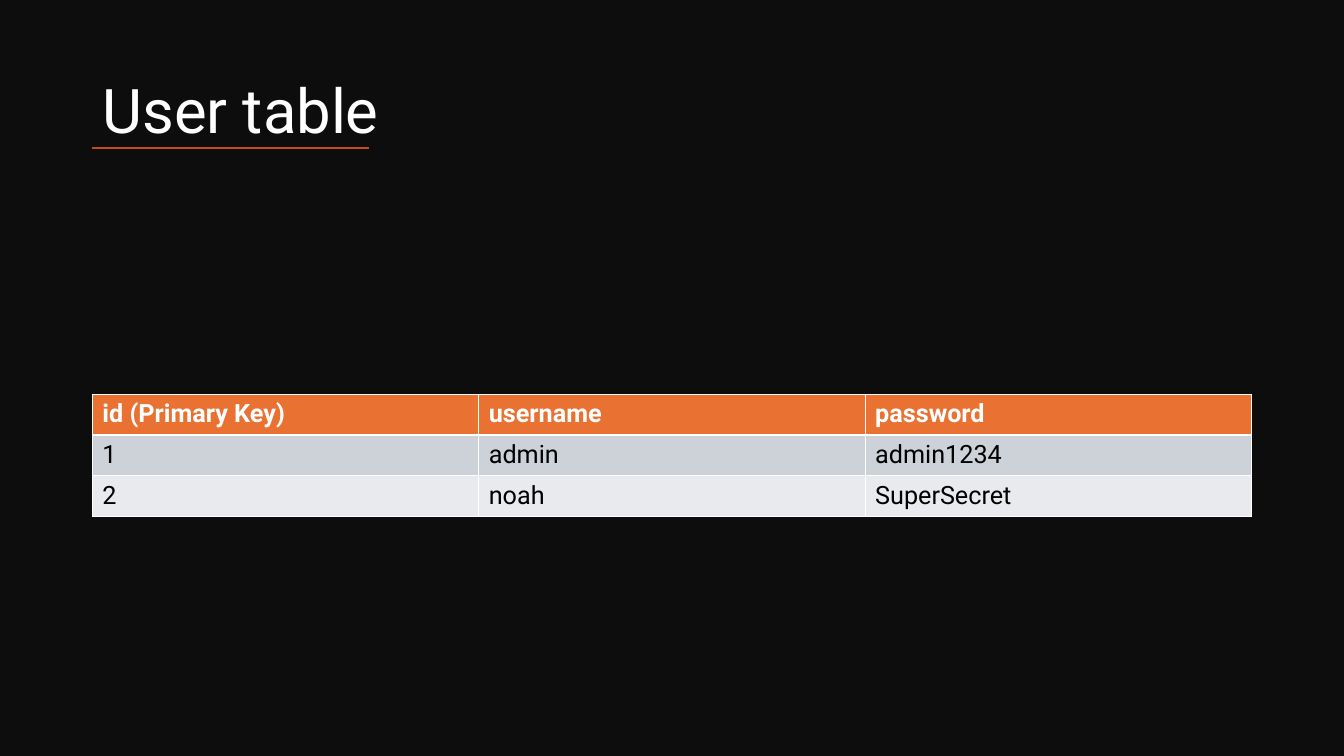
from pptx import Presentation
from pptx.dml.color import RGBColor
from pptx.enum.shapes import MSO_CONNECTOR
from pptx.enum.text import MSO_ANCHOR, PP_ALIGN
from pptx.oxml.ns import qn
from pptx.util import Pt
from lxml.etree import SubElement

# Content
TITLE = "User table"
ROWS = [
    ("id (Primary Key)", "username", "password"),
    ("1", "admin", "admin1234"),
    ("2", "noah", "SuperSecret"),
]

# Look
FONT = "Roboto"
BACKGROUND = RGBColor(0x0D, 0x0D, 0x0D)
WHITE = RGBColor(0xFF, 0xFF, 0xFF)
BLACK = RGBColor(0, 0, 0)
HEADER = RGBColor(0xE9, 0x71, 0x32)
BANDS = [RGBColor(0xCC, 0xD2, 0xD8), RGBColor(0xE8, 0xEA, 0xED)]
RULE = RGBColor(0xC0, 0x4F, 0x15)

# Layout, in points
LEFT, WIDTH = 66, 828
TITLE_TOP, TITLE_HEIGHT = 28.75, 104.4
RULE_Y, RULE_WIDTH = 105.7, 197.5
TABLE_TOP, ROW_HEIGHT = 281.5, 29.2


def add_run(p, text, size, color, bold=False):
    r = p.add_run()
    r.text = text
    r.font.name = FONT
    r.font.size = Pt(size)
    r.font.bold = bold
    r.font.color.rgb = color


prs = Presentation()
prs.slide_width, prs.slide_height = Pt(960), Pt(540)
s = prs.slides.add_slide(prs.slide_layouts[5])
s.background.fill.solid()
s.background.fill.fore_color.rgb = BACKGROUND

# Title
title = s.shapes.title
title.left, title.top = Pt(LEFT), Pt(TITLE_TOP)
title.width, title.height = Pt(WIDTH), Pt(TITLE_HEIGHT)
tf = title.text_frame
tf.vertical_anchor = MSO_ANCHOR.MIDDLE
p = tf.paragraphs[0]
p.alignment = PP_ALIGN.LEFT
p.line_spacing = 0.9
add_run(p, TITLE, 44, WHITE)

# Table: the default style supplies the white cell borders
table = s.shapes.add_table(len(ROWS), len(ROWS[0]), Pt(LEFT), Pt(TABLE_TOP),
                           Pt(WIDTH), Pt(ROW_HEIGHT * len(ROWS))).table
for i, row in enumerate(ROWS):
    is_header = i == 0
    for j, text in enumerate(row):
        cell = table.cell(i, j)
        cell.fill.solid()
        cell.fill.fore_color.rgb = HEADER if is_header else BANDS[(i - 1) % 2]
        add_run(cell.text_frame.paragraphs[0], text, 18,
                WHITE if is_header else BLACK, is_header)

# Rule under the title
rule = s.shapes.add_connector(MSO_CONNECTOR.STRAIGHT, Pt(LEFT), Pt(RULE_Y),
                              Pt(LEFT + RULE_WIDTH), Pt(RULE_Y))
rule.line.color.rgb = RULE
rule.line.width = Pt(1.5)
SubElement(rule._element.spPr, qn("a:effectLst"))

prs.save("out.pptx")
